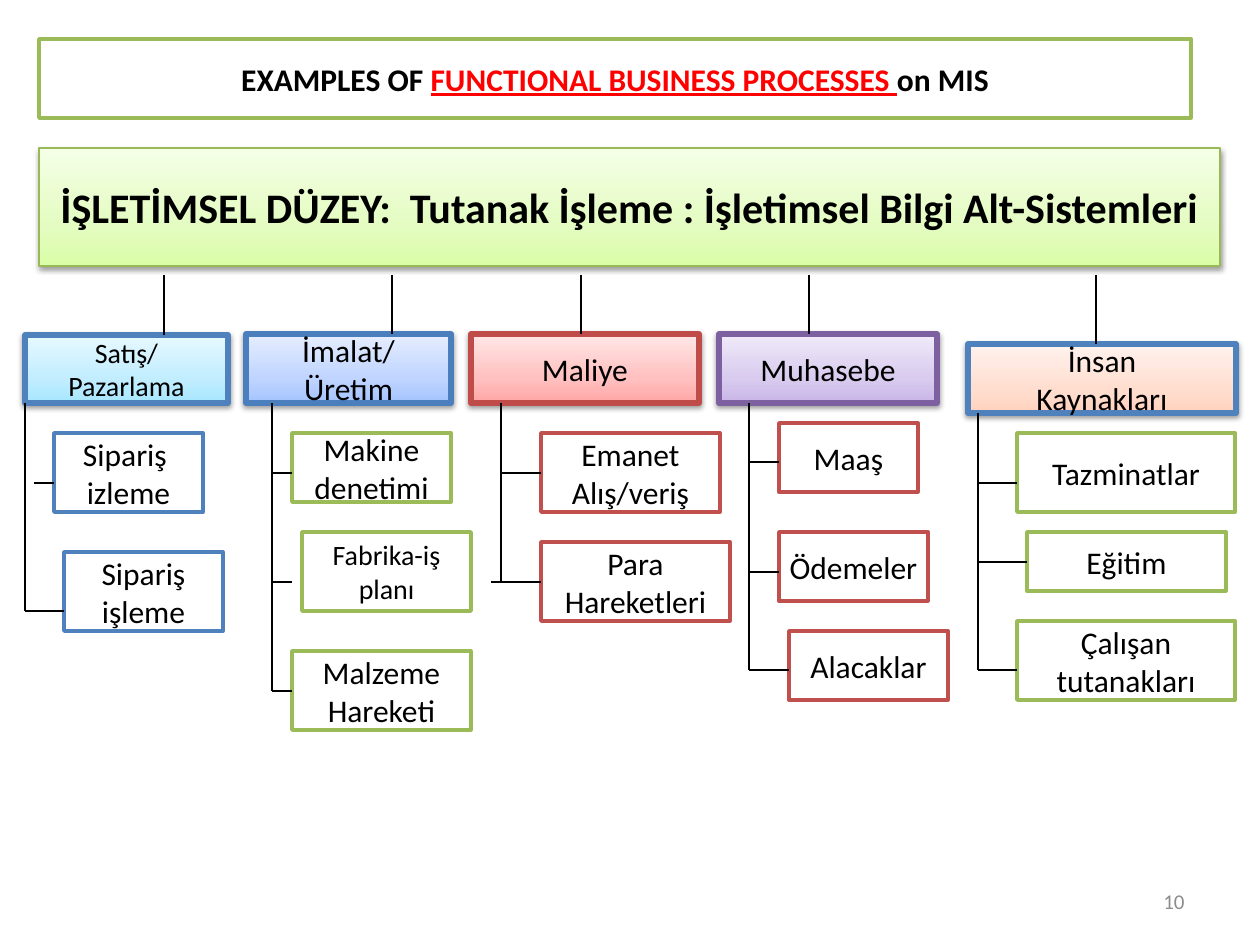
from copy import deepcopy
from dataclasses import dataclass

from lxml import etree
from pptx import Presentation
from pptx.dml.color import RGBColor
from pptx.enum.shapes import MSO_CONNECTOR, MSO_SHAPE
from pptx.enum.text import MSO_ANCHOR, MSO_AUTO_SIZE, PP_ALIGN
from pptx.oxml.ns import qn
from pptx.util import Emu, Inches, Pt

PX = 914400 / 126
FONT = "Calibri"
BLACK, WHITE, RED, GREY = "000000", "FFFFFF", "FF0000", "8C8C8C"
BLUE, GREEN, BRICK = "4F81BD", "9BBB59", "C0504D"
DROP_TOP = 275


@dataclass
class Box:
    x: int
    y: int
    w: int
    h: int
    text: str
    size: int = 18


@dataclass
class Process:
    box: Box
    tee_y: int
    tee_start: int | None = None  # defaults to the spine
    tee_end: int | None = None  # defaults to the box's left edge


@dataclass
class Department:
    header: Box
    gradient: tuple[str, str, str]
    header_line: str
    process_line: str
    drop_x: int
    spine_x: int
    processes: list[Process]


DEPARTMENTS = [
    Department(Box(25, 335, 203, 68, "Satış/\nPazarlama", 16), ("A7E6FF", "C1EDFF", "E7F8FF"),
               BLUE, BLUE, 164, 25, [
        Process(Box(54, 433, 149, 79, "Sipariş \nizleme"), 483, tee_start=34),
        Process(Box(64, 552, 159, 79, "Sipariş\nişleme"), 611)]),
    Department(Box(246, 334, 205, 69, "İmalat/\nÜretim"), ("A4C4FF", "BFD4FF", "E6EEFF"),
               "4B7EBC", GREEN, 392, 272, [
        Process(Box(292, 433, 159, 69, "Makine\ndenetimi"), 473),
        Process(Box(302, 532, 169, 79, "Fabrika-iş\nplanı", 16), 582, tee_end=292),
        Process(Box(292, 651, 179, 79, "Malzeme\nHareketi"), 691)]),
    Department(Box(471, 334, 228, 69, "Maliye"), ("FFA6A5", "FFC0BF", "FFE7E7"),
               "BF4C48", BRICK, 581, 501, [
        Process(Box(541, 433, 179, 79, "Emanet\nAlış/veriş"), 473),
        Process(Box(541, 542, 189, 79, "Para\nHareketleri"), 582, tee_start=491)]),
    Department(Box(719, 334, 218, 69, "Muhasebe"), ("C9B5E8", "D8CBEE", "F0EAF9"),
               "7D60A0", BRICK, 809, 749, [
        Process(Box(779, 423, 139, 69, "Maaş"), 462),
        Process(Box(779, 532, 149, 69, "Ödemeler"), 572),
        Process(Box(789, 631, 159, 69, "Alacaklar"), 670)]),
    Department(Box(968, 344, 268, 69, "İnsan\nKaynakları"), ("FFD2BD", "FFDED0", "FFF2ED"),
               BLUE, GREEN, 1096, 978, [
        Process(Box(1017, 433, 218, 79, "Tazminatlar"), 483),
        Process(Box(1027, 532, 199, 59, "Eğitim"), 562),
        Process(Box(1017, 621, 218, 79, "Çalışan\ntutanakları"), 670)]),
]


def px(value: int) -> Emu:
    return Emu(round(value * PX))


def rgb(value: str) -> RGBColor:
    return RGBColor.from_string(value)


def set_font(font, size: int, color: str = BLACK, bold: bool = False) -> None:
    font.name, font.size, font.bold = FONT, Pt(size), bold
    font.color.rgb = rgb(color)


def set_frame(frame, wrap: bool = False) -> None:
    frame.word_wrap = wrap
    frame.auto_size = MSO_AUTO_SIZE.NONE
    frame.vertical_anchor = MSO_ANCHOR.MIDDLE


def set_outline(shape, color: str, width: float) -> None:
    shape.line.color.rgb = rgb(color)
    shape.line.width = Pt(width)


def add_box(slide, box: Box, line: str, width: float, bold: bool = False):
    shape = slide.shapes.add_shape(MSO_SHAPE.RECTANGLE, px(box.x), px(box.y), px(box.w), px(box.h))
    shape.shadow.inherit = False
    shape.fill.solid()
    shape.fill.fore_color.rgb = rgb(WHITE)
    set_outline(shape, line, width)
    set_frame(shape.text_frame)
    shape.text_frame.text = box.text
    for paragraph in shape.text_frame.paragraphs:
        paragraph.alignment = PP_ALIGN.CENTER
        set_font(paragraph.runs[0].font, box.size, bold=bold)
    return shape


def add_raised_box(slide, box: Box, gradient: tuple[str, str, str], line: str, width: float,
                   bold: bool = False) -> None:
    shape = add_box(slide, box, line, width, bold)
    # Three-stop gradient running upwards
    shape.fill.gradient()
    shape.fill.gradient_angle = 90
    stop_list = shape._element.spPr.find(qn("a:gradFill")).find(qn("a:gsLst"))
    stop_list.insert(1, deepcopy(stop_list[0]))
    for stop, position, color in zip(shape.fill.gradient_stops, (0, 0.35, 1), gradient):
        stop.position = position
        stop.color.rgb = rgb(color)
    # Soft shadow below
    effects = shape._element.spPr.find(qn("a:effectLst"))
    shadow = etree.SubElement(effects, qn("a:outerShdw"), blurRad="40000", dist="20000",
                              dir="5400000", rotWithShape="0")
    shade = etree.SubElement(shadow, qn("a:srgbClr"), val=BLACK)
    etree.SubElement(shade, qn("a:alpha"), val="38000")


def add_line(slide, x1: int, y1: int, x2: int, y2: int) -> None:
    line = slide.shapes.add_connector(MSO_CONNECTOR.STRAIGHT, px(x1), px(y1), px(x2), px(y2))
    set_outline(line, BLACK, 0.75)
    etree.SubElement(line._element.spPr, qn("a:effectLst"))


def add_department(slide, dept: Department) -> None:
    header = dept.header
    bottom = header.y + header.h
    add_raised_box(slide, header, dept.gradient, dept.header_line, 3)
    add_line(slide, dept.drop_x, DROP_TOP, dept.drop_x, header.y)
    add_line(slide, dept.spine_x, bottom, dept.spine_x, dept.processes[-1].tee_y)
    for process in dept.processes:
        add_box(slide, process.box, dept.process_line, 2)
        start = dept.spine_x if process.tee_start is None else process.tee_start
        end = process.box.x if process.tee_end is None else process.tee_end
        add_line(slide, start, process.tee_y, end, process.tee_y)


def add_title(slide) -> None:
    title = slide.shapes.title
    title.left, title.top, title.width, title.height = px(39), px(39), px(1152), px(79)
    title.fill.solid()
    title.fill.fore_color.rgb = rgb(WHITE)
    set_outline(title, GREEN, 2)
    set_frame(title.text_frame)
    paragraph = title.text_frame.paragraphs[0]
    paragraph.alignment = PP_ALIGN.CENTER
    for text, color, underline in (("EXAMPLES OF ", BLACK, False),
                                   ("FUNCTIONAL BUSINESS PROCESSES ", RED, True),
                                   ("on MIS", BLACK, False)):
        run = paragraph.add_run()
        run.text = text
        set_font(run.font, 18, color, bold=True)
        run.font.underline = underline


def add_page_number(slide) -> None:
    box = slide.shapes.add_textbox(px(903), px(876), px(294), px(50))
    set_frame(box.text_frame, wrap=True)
    paragraph = box.text_frame.paragraphs[0]
    paragraph.alignment = PP_ALIGN.RIGHT
    run = paragraph.add_run()
    run.text = "10"
    set_font(run.font, 12, GREY)


prs = Presentation()
prs.slide_width, prs.slide_height = Inches(10), Inches(7.5)
slide = prs.slides.add_slide(prs.slide_layouts[5])

# Title and operational level banner
add_title(slide)
banner = Box(39, 148, 1181, 118,
             "İŞLETİMSEL DÜZEY:  Tutanak İşleme : İşletimsel Bilgi Alt-Sistemleri", 24)
add_raised_box(slide, banner, ("DAFDA7", "E4FCC2", "F5FFE7"), "98B955", 0.75, bold=True)

# Departments with their processes
for department in DEPARTMENTS:
    add_department(slide, department)

add_page_number(slide)
prs.save("out.pptx")
